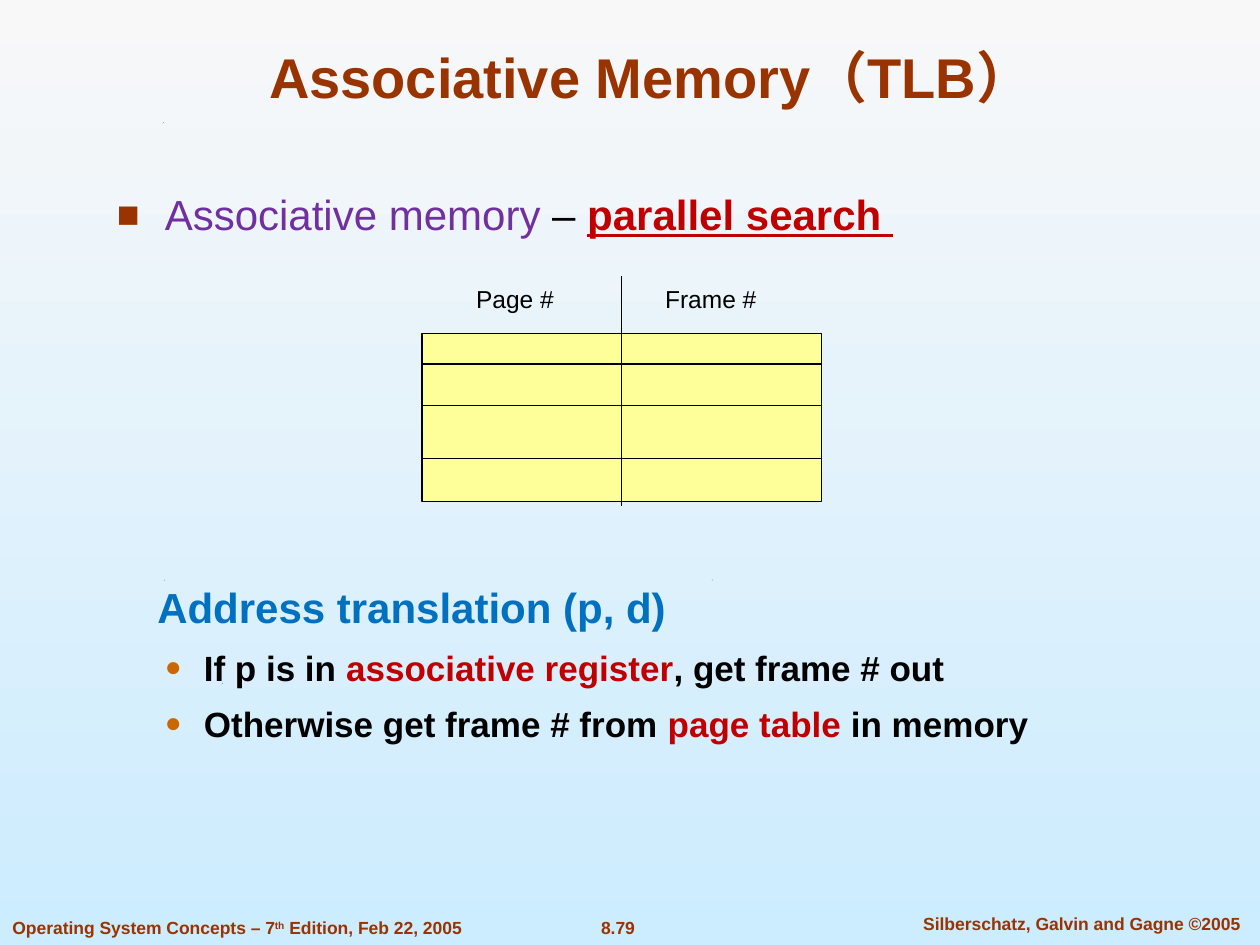
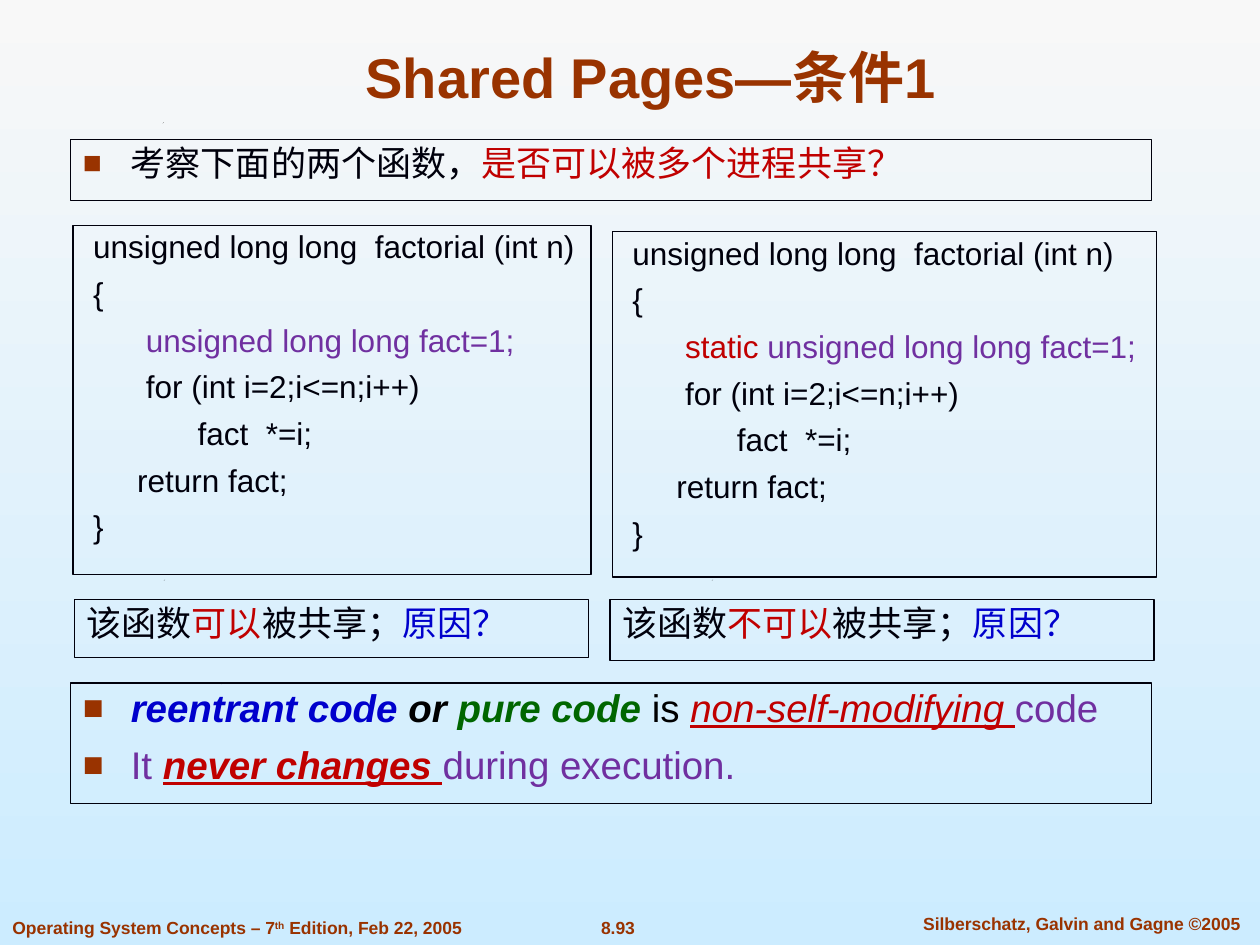
from dataclasses import dataclass

from lxml import etree
from pptx import Presentation
from pptx.dml.color import RGBColor
from pptx.enum.shapes import MSO_CONNECTOR, MSO_SHAPE
from pptx.enum.text import MSO_ANCHOR, PP_ALIGN
from pptx.oxml.ns import qn
from pptx.util import Inches, Pt

FONT = "Arial"
BROWN = RGBColor(0x99, 0x33, 0x00)
ORANGE = RGBColor(0xCC, 0x66, 0x00)
PURPLE = RGBColor(0x70, 0x30, 0xA0)
RED = RGBColor(0xC0, 0x00, 0x00)
SKY = RGBColor(0x00, 0x70, 0xC0)
BLUE = RGBColor(0x00, 0x00, 0xCC)
GREEN = RGBColor(0x00, 0x66, 0x00)
YELLOW = RGBColor(0xFF, 0xFF, 0x99)
BLACK = RGBColor(0x00, 0x00, 0x00)
INK = RGBColor(0x00, 0x00, 0x0C)
BG_TOP = RGBColor(0xF8, 0xF8, 0xF8)
BG_BOTTOM = RGBColor(0xCC, 0xEC, 0xFF)

LINE_WIDTH = Pt(0.75)
SPECKS = [(1.29, 0.97), (1.3, 4.6), (1.76, 5.42), (5.65, 4.6)]


@dataclass
class Bullet:
    char: str
    color: RGBColor
    percent: int


SQUARE = Bullet("■", BROWN, 90)
DOT = Bullet("●", ORANGE, 80)


@dataclass
class Para:
    """runs are (text, colour, style letters: b, i, u, ^ for superscript)."""
    runs: list
    size: float = 20
    left: float = 0
    hang: float = 0
    bullet: Bullet = None
    align: PP_ALIGN = PP_ALIGN.LEFT


def bullet_para(runs, size):
    return Para(runs, size, 0.38, 0.38, SQUARE)


def format_para(p, para):
    pPr = p._p.get_or_add_pPr()
    pPr.set("marL", str(Inches(para.left)))
    pPr.set("indent", str(-Inches(para.hang)))
    if para.bullet is None:
        etree.SubElement(pPr, qn("a:buNone"))
        return
    clr = etree.SubElement(pPr, qn("a:buClr"))
    etree.SubElement(clr, qn("a:srgbClr"), val=str(para.bullet.color))
    etree.SubElement(pPr, qn("a:buSzPct"), val=str(para.bullet.percent * 1000))
    etree.SubElement(pPr, qn("a:buFont"), typeface=FONT)
    etree.SubElement(pPr, qn("a:buChar"), char=para.bullet.char)


def write(tf, paras, anchor=MSO_ANCHOR.TOP, spacing=1.0):
    tf.word_wrap = True
    tf.vertical_anchor = anchor
    for i, para in enumerate(paras):
        p = tf.add_paragraph() if i else tf.paragraphs[0]
        p.alignment = para.align
        p.line_spacing = spacing
        p.space_before = Pt(round(0.4 * para.size, 1) if i else 0)
        format_para(p, para)
        for text, color, style in para.runs:
            r = p.add_run()
            r.text = text
            font = r.font
            font.name, font.size = FONT, Pt(para.size)
            font.color.rgb = color
            font.bold, font.italic, font.underline = (s in style for s in "biu")
            if "^" in style:
                r._r.get_or_add_rPr().set("baseline", "30000")


def add_text(slide, box, paras, anchor=MSO_ANCHOR.TOP):
    sp = slide.shapes.add_textbox(*map(Inches, box))
    write(sp.text_frame, paras, anchor)


def add_rect(slide, box, line, fill=None):
    sp = slide.shapes.add_shape(MSO_SHAPE.RECTANGLE, *map(Inches, box))
    sp.shadow.inherit = False
    if fill is None:
        sp.fill.background()
    else:
        sp.fill.solid()
        sp.fill.fore_color.rgb = fill
    sp.line.color.rgb = line
    sp.line.width = LINE_WIDTH
    return sp


def add_framed_text(slide, box, paras):
    write(add_rect(slide, box, INK).text_frame, paras, spacing=0.9)


def add_line(slide, x1, y1, x2, y2):
    line = slide.shapes.add_connector(
        MSO_CONNECTOR.STRAIGHT, *map(Inches, (x1, y1, x2, y2)))
    line.line.color.rgb = BLACK
    line.line.width = LINE_WIDTH
    etree.SubElement(line._element.spPr, qn("a:effectLst"))


def add_speck(slide, x, y):
    fb = slide.shapes.build_freeform(Inches(x), Inches(y + 0.01))
    fb.add_line_segments([(Inches(x + 0.01), Inches(y)),
                          (Inches(x), Inches(y + 0.01))], close=True)
    sp = fb.convert_to_shape()
    sp.shadow.inherit = False
    sp.fill.solid()
    sp.fill.fore_color.rgb = BLACK
    sp.line.fill.background()


def add_footer(slide, number):
    center = PP_ALIGN.CENTER
    add_text(slide, (4.64, 7.23, 0.53, 0.27),
             [Para([(number, BROWN, "b")], 10, align=center)])
    add_text(slide, (7.1, 7.2, 2.97, 0.27),
             [Para([("Silberschatz, Galvin and Gagne ©2005", BROWN, "b")], 10,
                   align=center)])
    add_text(slide, (0, 7.23, 4.21, 0.27),
             [Para([("Operating System Concepts – 7", BROWN, "b"),
                    ("th", BROWN, "b^"),
                    (" Edition, Feb 22, 2005", BROWN, "b")], 10)])


def new_slide(prs, title, number):
    """Add a slide with the shared background, specks, footer and title."""
    slide = prs.slides.add_slide(prs.slide_layouts[6])
    fill = slide.background.fill
    fill.gradient()
    fill.gradient_angle = 270
    for stop, color in zip(fill.gradient_stops, (BG_TOP, BG_BOTTOM)):
        stop.color.rgb = color
    for x, y in SPECKS:
        add_speck(slide, x, y)
    add_footer(slide, number)
    add_text(slide, (0.75, 0.25, 8.83, 0.67),
             [Para([(title, BROWN, "b")], 32, align=PP_ALIGN.CENTER)],
             MSO_ANCHOR.BOTTOM)
    return slide


def add_tlb(slide, box):
    """Draw the page/frame register grid with its headings above the box."""
    x, y, w, h = box
    add_rect(slide, box, BLACK, YELLOW)
    middle = x + w / 2
    add_line(slide, middle, y - 0.46, middle, y + h + 0.04)
    for row in (0.24, 0.57, 0.99):
        add_line(slide, x, y + row, x + w, y + row)
    for dx, heading in ((0.33, "Page #"), (1.83, "Frame #")):
        add_text(slide, (x + dx, y - 0.44, 1.42, 0.33),
                 [Para([(heading, BLACK, "")], 14)], MSO_ANCHOR.MIDDLE)


def build_tlb_slide(prs):
    slide = new_slide(prs, "Associative Memory（TLB）", "8.79")
    add_text(slide, (0.83, 1.45, 8.04, 0.5), [bullet_para(
        [("Associative memory ", PURPLE, ""), ("– ", BLACK, ""),
         ("parallel search ", RED, "bu")], 24)])
    add_tlb(slide, (3.35, 2.65, 3.17, 1.33))
    steps = [
        [("If p is in ", BLACK, "b"), ("associative register", RED, "b"),
         (", get frame # out", BLACK, "b")],
        [("Otherwise get frame # from ", BLACK, "b"),
         ("page table ", RED, "b"), ("in memory", BLACK, "b")],
    ]
    add_text(slide, (0.83, 4.57, 8.04, 1.5),
             [Para([("Address translation (p, d)", SKY, "b")], 24, 0.32)]
             + [Para(runs, 20, 0.69, 0.31, DOT) for runs in steps])


def add_code(slide, box, declaration):
    lines = [
        (0, [("unsigned long long  factorial (int n)", INK, "")]),
        (0, [("{", INK, "")]),
        (0.42, declaration),
        (0.42, [("for (int i=2;i<=n;i++)", INK, "")]),
        (0.83, [("fact  *=i;", INK, "")]),
        (0.35, [("return fact;", INK, "")]),
        (0, [("}", INK, "")]),
    ]
    add_framed_text(slide, box, [Para(runs, 18, 0.06 + indent)
                                 for indent, runs in lines])


def add_verdict(slide, box, verdict):
    add_framed_text(slide, box, [Para(
        [("该函数", INK, ""), (verdict, RED, ""), ("被共享；", INK, ""),
         ("原因？", BLUE, "")])])


def build_shared_pages_slide(prs):
    slide = new_slide(prs, "Shared Pages—条件1", "8.93")
    add_framed_text(slide, (0.56, 1.11, 8.58, 0.48), [bullet_para(
        [("考察下面的两个函数，", INK, ""),
         ("是否可以被多个进程共享？", RED, "")], 20)])
    declaration = "unsigned long long fact=1;"
    add_code(slide, (0.58, 1.79, 4.11, 2.77), [(declaration, PURPLE, "")])
    add_code(slide, (4.86, 1.84, 4.32, 2.74),
             [("static", RED, ""), (" " + declaration, PURPLE, "")])
    add_verdict(slide, (0.59, 4.76, 4.08, 0.46), "可以")
    add_verdict(slide, (4.84, 4.76, 4.32, 0.48), "不可以")
    add_framed_text(slide, (0.56, 5.42, 8.58, 0.96), [
        bullet_para([("reentrant code ", BLUE, "bi"), ("or ", BLACK, "bi"),
                     ("pure code ", GREEN, "bi"), ("is ", BLACK, ""),
                     ("non-self-modifying ", RED, "iu"),
                     ("code", PURPLE, "")], 22),
        bullet_para([("It ", PURPLE, ""), ("never changes ", RED, "biu"),
                     ("during execution.", PURPLE, "")], 22),
    ])


def main():
    prs = Presentation()
    prs.slide_width, prs.slide_height = Inches(10), Inches(7.5)
    build_tlb_slide(prs)
    build_shared_pages_slide(prs)
    prs.save("out.pptx")


if __name__ == "__main__":
    main()
